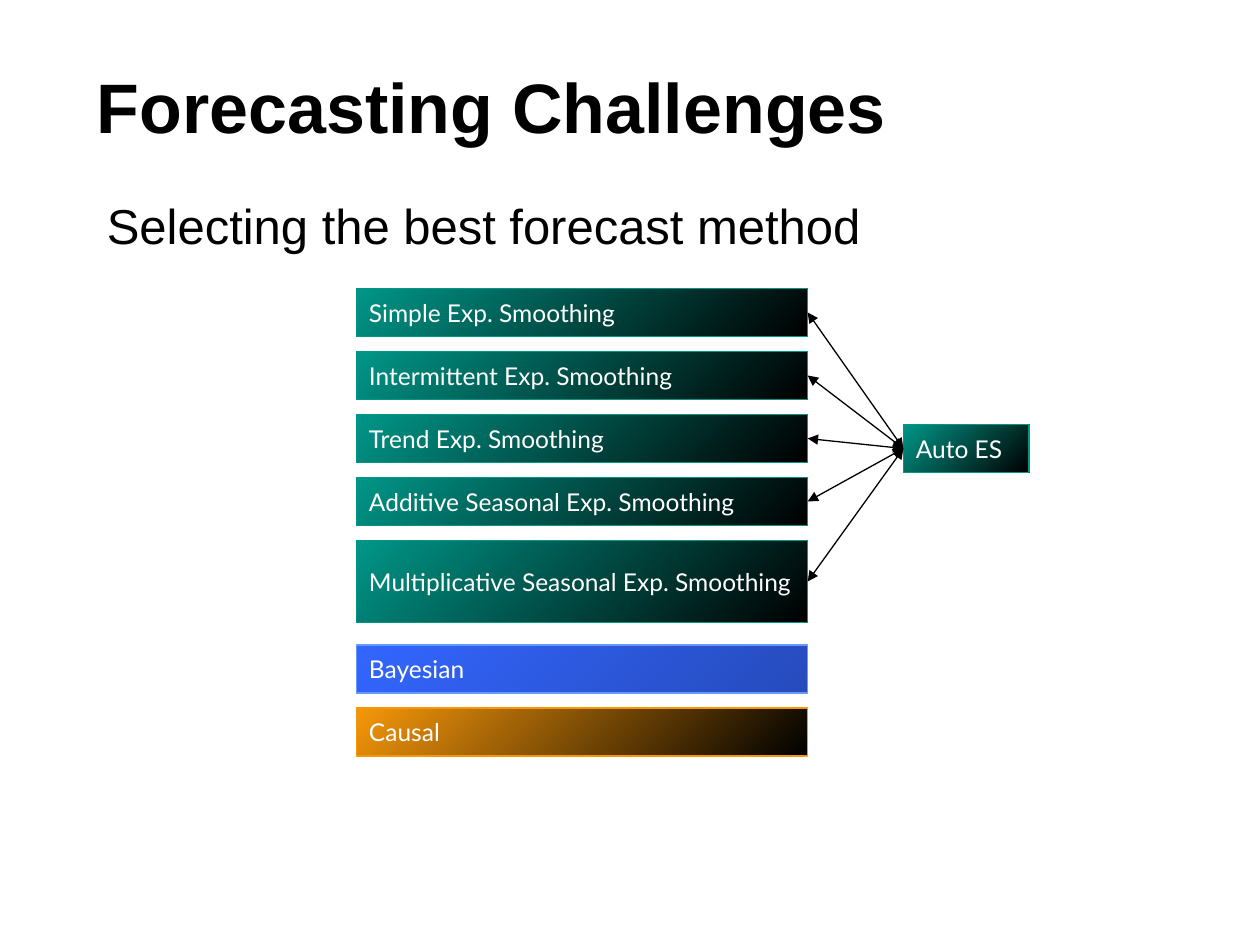
from dataclasses import dataclass

from lxml.etree import SubElement
from pptx import Presentation
from pptx.dml.color import RGBColor
from pptx.enum.shapes import MSO_CONNECTOR, MSO_SHAPE
from pptx.enum.text import MSO_ANCHOR, PP_ALIGN
from pptx.oxml.ns import qn
from pptx.shapes.autoshape import Shape
from pptx.slide import Slide
from pptx.util import Inches, Pt


@dataclass(frozen=True)
class Palette:
    start: str
    end: str
    border: str


@dataclass(frozen=True)
class Theme:
    ink: str = "000000"
    box_ink: str = "FFFFFF"
    heading_font: str = "Arial"
    box_font: str = "Lato"
    title_size: int = 40
    subtitle_size: int = 28
    box_size: int = 14
    smoothing: Palette = Palette("009688", "000000", "009688")
    bayesian: Palette = Palette("3366FF", "264BBC", "6699FF")
    causal: Palette = Palette("F6970A", "000000", "F6970A")


@dataclass(frozen=True)
class Method:
    label: str
    left: float
    top: float
    width: float
    palette: Palette
    height: float = 0.38

    @property
    def middle(self) -> float:
        return self.top + self.height / 2


THEME = Theme()
METHOD_LEFT, METHOD_WIDTH = 2.83, 3.58
FIRST_TOP, ROW_PITCH = 2.29, 0.5


def write(shape: Shape, text: str, font: str, size: int, color: str,
          bold: bool = False, anchor: MSO_ANCHOR = MSO_ANCHOR.MIDDLE) -> None:
    frame = shape.text_frame
    frame.word_wrap = True
    frame.vertical_anchor = anchor
    paragraph = frame.paragraphs[0]
    paragraph.alignment = PP_ALIGN.LEFT
    run = paragraph.add_run()
    run.text = text
    run.font.name = font
    run.font.size = Pt(size)
    run.font.bold = bold
    run.font.color.rgb = RGBColor.from_string(color)


def draw_method(slide: Slide, method: Method) -> None:
    box = slide.shapes.add_shape(
        MSO_SHAPE.RECTANGLE, Inches(method.left), Inches(method.top),
        Inches(method.width), Inches(method.height))
    box.shadow.inherit = False
    box.fill.gradient()
    box.fill.gradient_angle = 315  # counter-clockwise: top left to bottom right
    colors = (method.palette.start, method.palette.end)
    for position, (stop, color) in enumerate(zip(box.fill.gradient_stops, colors)):
        stop.position = position
        stop.color.rgb = RGBColor.from_string(color)
    box.line.color.rgb = RGBColor.from_string(method.palette.border)
    box.line.width = Pt(1)
    write(box, method.label, THEME.box_font, THEME.box_size, THEME.box_ink)


def draw_arrow(slide: Slide, source: Method, target: Method) -> None:
    arrow = slide.shapes.add_connector(
        MSO_CONNECTOR.STRAIGHT, Inches(source.left), Inches(source.middle),
        Inches(target.left + target.width), Inches(target.middle))
    arrow.line.color.rgb = RGBColor.from_string(THEME.ink)
    arrow.line.width = Pt(0.75)
    properties = arrow._element.spPr
    line = properties.find(qn("a:ln"))
    for end in ("a:headEnd", "a:tailEnd"):
        SubElement(line, qn(end), type="triangle")
    SubElement(properties, qn("a:effectLst"))


def main() -> None:
    presentation = Presentation()
    presentation.slide_width = Inches(10)
    presentation.slide_height = Inches(7.5)
    slide = presentation.slides.add_slide(presentation.slide_layouts[6])

    # Headings
    subtitle = slide.shapes.add_textbox(Inches(0.75), Inches(1.5), Inches(8.5), Inches(3))
    write(subtitle, "Selecting the best forecast method", THEME.heading_font,
          THEME.subtitle_size, THEME.ink, anchor=MSO_ANCHOR.TOP)
    title = slide.shapes.add_textbox(Inches(0.67), Inches(0.5), Inches(8.75), Inches(0.67))
    write(title, "Forecasting Challenges", THEME.heading_font,
          THEME.title_size, THEME.ink, bold=True)

    # Forecast methods
    smoothing_labels = ("Simple", "Intermittent", "Trend", "Additive Seasonal",
                        "Multiplicative Seasonal")
    smoothing = [
        Method(f"{label} Exp. Smoothing", METHOD_LEFT, FIRST_TOP + row * ROW_PITCH,
               METHOD_WIDTH, THEME.smoothing,
               0.65 if label.startswith("Multiplicative") else 0.38)
        for row, label in enumerate(smoothing_labels)
    ]
    others = [
        Method("Bayesian", METHOD_LEFT, 5.12, METHOD_WIDTH, THEME.bayesian),
        Method("Causal", METHOD_LEFT, 5.12 + ROW_PITCH, METHOD_WIDTH, THEME.causal),
    ]
    auto_es = Method("Auto ES", 7.17, 3.37, 1, THEME.smoothing)
    for method in (*smoothing, *others, auto_es):
        draw_method(slide, method)

    # Links from automatic selection to each smoothing method
    for method in smoothing:
        draw_arrow(slide, auto_es, method)

    presentation.save("out.pptx")


if __name__ == "__main__":
    main()
